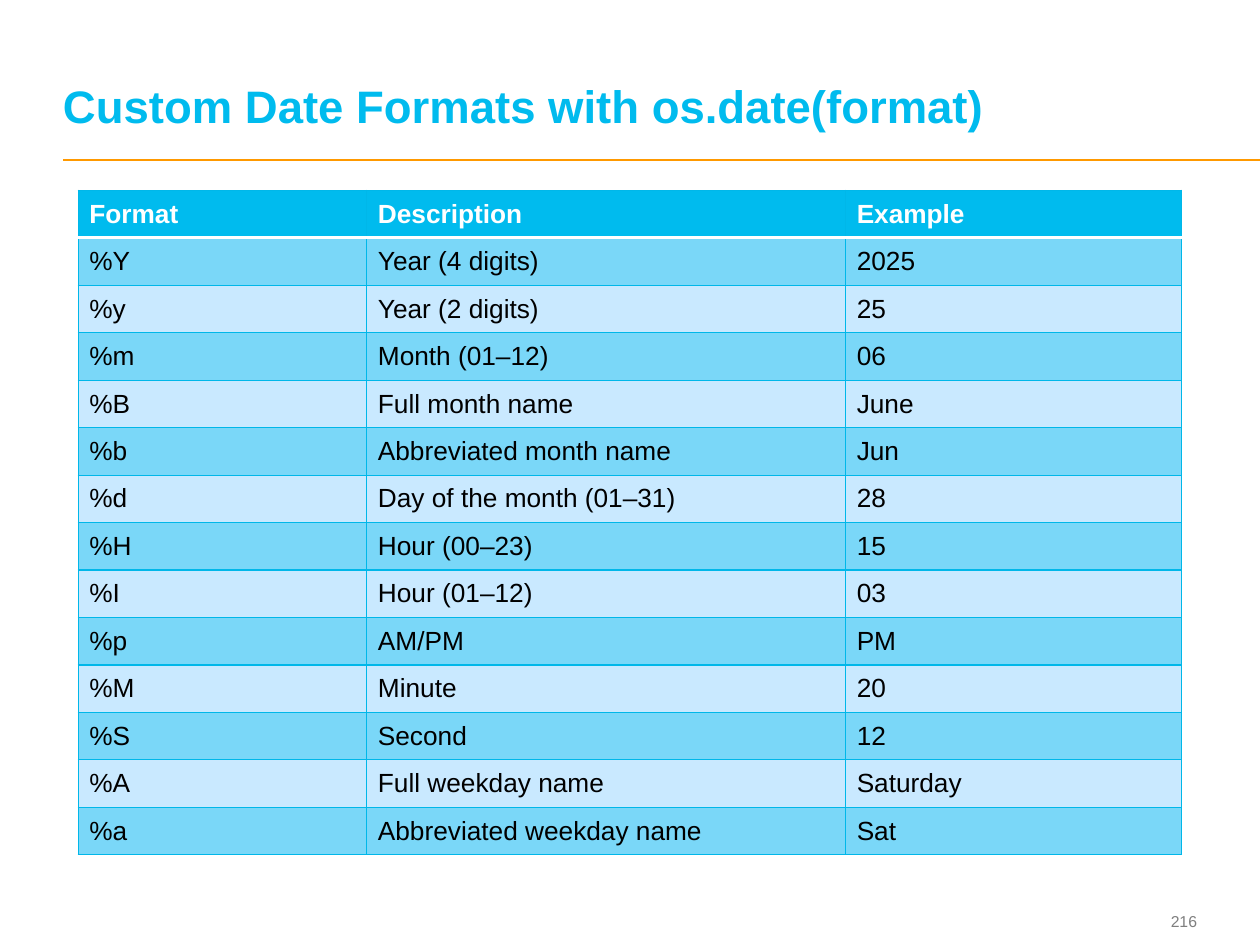
import pptx
import pptx.util
import pptx.dml.color
import pptx.enum.shapes
import pptx.enum.text
import pptx.oxml
import pptx.oxml.ns

Inches = pptx.util.Inches
Pt = pptx.util.Pt
ANCHOR = pptx.enum.text.MSO_ANCHOR
ALIGN = pptx.enum.text.PP_ALIGN

FONT = "Arial"
CYAN, EDGE, WHITE = "00BBEE", "00B7E9", "FFFFFF"
BANDS = ("7AD7F8", "C9E9FF")

HEAD = ("Format", "Description", "Example")
CODES = [
    ("%Y", "Year (4 digits)", "2025"),
    ("%y", "Year (2 digits)", "25"),
    ("%m", "Month (01–12)", "06"),
    ("%B", "Full month name", "June"),
    ("%b", "Abbreviated month name", "Jun"),
    ("%d", "Day of the month (01–31)", "28"),
    ("%H", "Hour (00–23)", "15"),
    ("%I", "Hour (01–12)", "03"),
    ("%p", "AM/PM", "PM"),
    ("%M", "Minute", "20"),
    ("%S", "Second", "12"),
    ("%A", "Full weekday name", "Saturday"),
    ("%a", "Abbreviated weekday name", "Sat"),
]


def color(code):
    return pptx.dml.color.RGBColor.from_string(code)


def add_run(para, text, size, code, bold=False):
    run = para.add_run()
    run.text = text
    run.font.name = FONT
    run.font.size = Pt(size)
    run.font.bold = bold
    run.font.color.rgb = color(code)


def add_box(slide, box, anchor):
    """Add an empty text box without insets; return its first paragraph."""
    frame = slide.shapes.add_textbox(*map(Inches, box)).text_frame
    frame.word_wrap = True
    frame.vertical_anchor = anchor
    frame.margin_left = frame.margin_right = 0
    frame.margin_top = frame.margin_bottom = 0
    return frame.paragraphs[0]


def add_title(slide, box, text):
    left, top, width, height = box
    para = add_box(slide, box, ANCHOR.BOTTOM)
    para.line_spacing = Pt(26)
    add_run(para, text, 26, CYAN, True)

    # Rule below the title, out to the slide's right edge
    level = Inches(top + height + 0.22)
    rule = slide.shapes.add_connector(
        pptx.enum.shapes.MSO_CONNECTOR.STRAIGHT,
        Inches(left), level, Inches(10), level)
    rule.line.color.rgb = color("FF9900")
    rule.line.width = Pt(1)
    props = rule._element.spPr
    props.append(pptx.oxml.parse_xml(
        "<a:effectLst %s/>" % pptx.oxml.ns.nsdecls("a")))


def add_edge(cell, side, code, width):
    cell._tc.get_or_add_tcPr().append(pptx.oxml.parse_xml(
        f'<a:ln{side} {pptx.oxml.ns.nsdecls("a")} w="{Pt(width)}">'
        f'<a:solidFill><a:srgbClr val="{code}"/></a:solidFill></a:ln{side}>'))


def fill_cell(cell, text, row):
    cell.vertical_anchor = ANCHOR.MIDDLE
    cell.margin_left = cell.margin_right = Inches(0.09)
    cell.margin_top = cell.margin_bottom = Inches(0.04)

    # Borders: a white line parts the header from the body
    white_side = {0: "B", 1: "T"}.get(row)
    for side in "LRTB":
        edge = (WHITE, 2) if side == white_side else (EDGE, 0.75)
        add_edge(cell, side, *edge)

    head = row == 0
    cell.fill.solid()
    cell.fill.fore_color.rgb = color(CYAN if head else BANDS[(row - 1) % 2])
    add_run(cell.text_frame.paragraphs[0], text, 15,
            WHITE if head else "000000", head)


def add_codes(slide, box, widths):
    rows = [HEAD] + CODES
    table = slide.shapes.add_table(
        len(rows), len(HEAD), *map(Inches, box)).table
    table.horz_banding = False
    for column, width in zip(table.columns, widths):
        column.width = Inches(width)
    for r, texts in enumerate(rows):
        table.rows[r].height = Inches(box[3] / len(rows))
        for c, text in enumerate(texts):
            fill_cell(table.cell(r, c), text, r)


def add_number(slide, box, text):
    para = add_box(slide, box, ANCHOR.MIDDLE)
    para.alignment = ALIGN.RIGHT
    add_run(para, text, 9, "7F7F7F")


def main():
    deck = pptx.Presentation()
    deck.slide_width, deck.slide_height = Inches(10), Inches(7.5)
    slide = deck.slides.add_slide(deck.slide_layouts[6])
    add_title(slide, (0.5, 0.19, 8.97, 0.86),
              "Custom Date Formats with os.date(format)")
    add_codes(slide, (0.62, 1.51, 8.76, 5.28), (2.29, 3.8, 2.67))
    add_number(slide, (8.91, 7.18, 0.59, 0.27), "216")
    deck.save("out.pptx")


if __name__ == "__main__":
    main()
